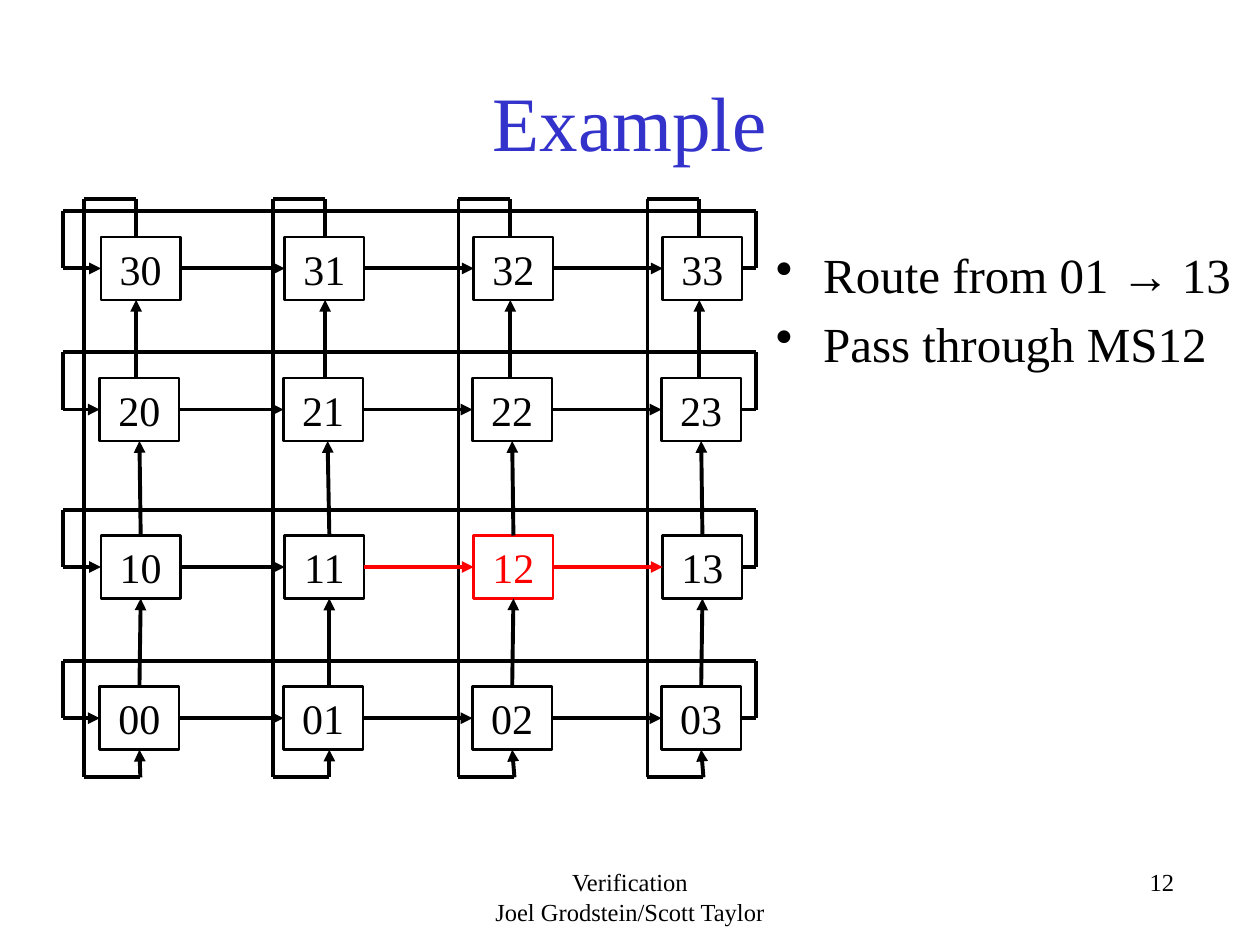
from lxml import etree
from pptx import Presentation
from pptx import util as u
from pptx.dml.color import RGBColor
from pptx.enum import shapes, text
from pptx.oxml.ns import qn

Pt = u.Pt
FONT = "Times New Roman"
BLACK, WHITE, RED, BLUE = "000000", "FFFFFF", "FF0000", "3333CC"
TOP, LEFT, BOTTOM, RIGHT = range(4)
NODE_W, NODE_H = 45.4, 36
NODE_LEFTS = [21, 126, 234, 342]
ROW_TOPS = [278.6, 192.2, 102.2, 21.6]
LOOP_LEFTS = [12.2, 120.2, 226, 334]
ROUTE = [("11", "12"), ("12", "13")]


def color(value):
    """Turn a hex string into a colour."""
    return RGBColor.from_string(value)


def apply(target, values):
    """Set each attribute named in values on target."""
    for name, value in values.items():
        setattr(target, name, value)


def write(shape, lines, size, hue=BLACK, frame=None, paragraph=None, gap=0, bullet=False):
    """Fill a shape with one formatted paragraph per line."""
    body = shape.text_frame
    apply(body, {"word_wrap": True, "vertical_anchor": text.MSO_ANCHOR.TOP, **(frame or {})})
    for index, line in enumerate(lines):
        para = body.paragraphs[0] if index == 0 else body.add_paragraph()
        apply(para, paragraph or {})
        if index and gap:
            para.space_before = Pt(gap)
        if bullet:
            props = para._p.get_or_add_pPr()
            props.set("marL", str(Pt(27)))
            props.set("indent", str(Pt(-27)))
            etree.SubElement(props, qn("a:buChar")).set("char", "•")
        run = para.add_run()
        run.text = line
        apply(run.font, {"name": FONT, "size": Pt(size)})
        run.font.color.rgb = color(hue)


def add_text(slide, box, lines, size, **style):
    """Add a text box in the given box."""
    write(slide.shapes.add_textbox(*map(Pt, box)), lines, size, **style)


def add_line(slide, start, end, hue=BLACK, arrow=False, begin=None, finish=None):
    """Draw a straight line, joined to (shape, side) pairs where given."""
    line = slide.shapes.add_connector(shapes.MSO_CONNECTOR.STRAIGHT, *map(Pt, start + end))
    line.line.width = Pt(2.25)
    line.line.color.rgb = color(hue)
    if arrow:
        etree.SubElement(line.line._get_or_add_ln(), qn("a:tailEnd")).set("type", "triangle")
    etree.SubElement(line._element.spPr, qn("a:effectLst"))
    if begin:
        line.begin_connect(*begin)
    if finish:
        line.end_connect(*finish)


def add_node(slide, x, y, label):
    """Add one numbered node of the mesh."""
    hue = RED if label == "12" else BLACK
    node = slide.shapes.add_shape(shapes.MSO_SHAPE.RECTANGLE, *map(Pt, (x, y, NODE_W, NODE_H)))
    node.shadow.inherit = False
    node.fill.solid()
    node.fill.fore_color.rgb = color(WHITE)
    node.line.color.rgb = color(hue)
    node.line.width = Pt(1.5)
    write(node, [label], 24, hue, paragraph={"alignment": text.PP_ALIGN.CENTER})
    return node


def add_row_ring(slide, nodes, row, x, y, width):
    """Link the nodes of a row and wrap the last one round to the first."""
    middle = y + NODE_H / 2
    wrap, right = middle - 32.8, x + width
    for col in range(3):
        hue = RED if (f"{row}{col}", f"{row}{col + 1}") in ROUTE else BLACK
        add_line(slide, (x, middle), (right, middle), hue, True,
                 (nodes[row, col], RIGHT), (nodes[row, col + 1], LEFT))
    add_line(slide, (right, middle), (right, middle), begin=(nodes[row, 3], RIGHT))
    add_line(slide, (right, middle), (right, wrap))
    add_line(slide, (right, wrap), (x, wrap))
    add_line(slide, (x, wrap), (x, middle))
    add_line(slide, (x, middle), (x, middle), arrow=True, finish=(nodes[row, 0], LEFT))


def add_column_ring(slide, nodes, col, x, y, height, row_tops):
    """Link the nodes of a column upwards and wrap the top one to the bottom."""
    feed, exit_x, bottom = x + 32, x + 29.6, y + height
    centred = col != 1

    def joint(row, side):
        return (nodes[row, col], side) if centred else None

    for row in range(3):
        lower, upper = row_tops[row], row_tops[row + 1] + NODE_H
        if row < 2:
            add_line(slide, (feed, lower), (feed - row, upper), arrow=True,
                     begin=joint(row, TOP), finish=joint(row + 1, BOTTOM))
        else:
            add_line(slide, (exit_x, lower), (exit_x, upper), arrow=True)
    add_line(slide, (exit_x, row_tops[3]), (exit_x, y))
    add_line(slide, (exit_x, y), (x, y))
    add_line(slide, (x, y), (x, bottom))
    add_line(slide, (x, bottom), (feed, bottom))
    add_line(slide, (feed, bottom), (feed, row_tops[0] + NODE_H), arrow=True,
             finish=joint(0, BOTTOM))


def add_mesh(slide, box):
    """Draw the four-by-four mesh with its row and column rings."""
    x, y, width, height = box
    row_tops = [y + top for top in ROW_TOPS]
    nodes = {}
    for row, top in enumerate(row_tops):
        for col, left in enumerate(NODE_LEFTS):
            nodes[row, col] = add_node(slide, x + left + row % 2 * 0.7, top, f"{row}{col}")
    for col, left in enumerate(LOOP_LEFTS):
        add_column_ring(slide, nodes, col, x + left, y, height, row_tops)
    for row, top in enumerate(row_tops):
        add_row_ring(slide, nodes, row, x, top, width)


def add_footer(slide, box):
    """Place the centred credit and the page number."""
    x, y, width, height = box
    centre = {"alignment": text.PP_ALIGN.CENTER}
    right = {"alignment": text.PP_ALIGN.RIGHT}
    add_text(slide, (x, y, 228, height), ["Verification", "Joel Grodstein/Scott Taylor"], 14,
             paragraph=centre)
    add_text(slide, (x + width - 228, y, 228, height), ["12"], 14, paragraph=right)


def main():
    """Build and save the slide."""
    deck = Presentation()
    apply(deck, {"slide_width": Pt(720), "slide_height": Pt(540)})
    slide = deck.slides.add_slide(deck.slide_layouts[6])
    add_text(slide, (54, 24, 612, 90), ["Example"], 44, hue=BLUE,
             frame={"vertical_anchor": text.MSO_ANCHOR.MIDDLE},
             paragraph={"alignment": text.PP_ALIGN.CENTER})
    add_text(slide, (436.3, 132, 281.5, 260), ["Route from 01 → 13", "Pass through MS12"], 28,
             frame={"margin_top": Pt(8)}, gap=5.6, bullet=True)
    add_mesh(slide, (36, 113.8, 396, 330.4))
    add_footer(slide, (246, 492, 432, 36))
    deck.save("out.pptx")


if __name__ == "__main__":
    main()
